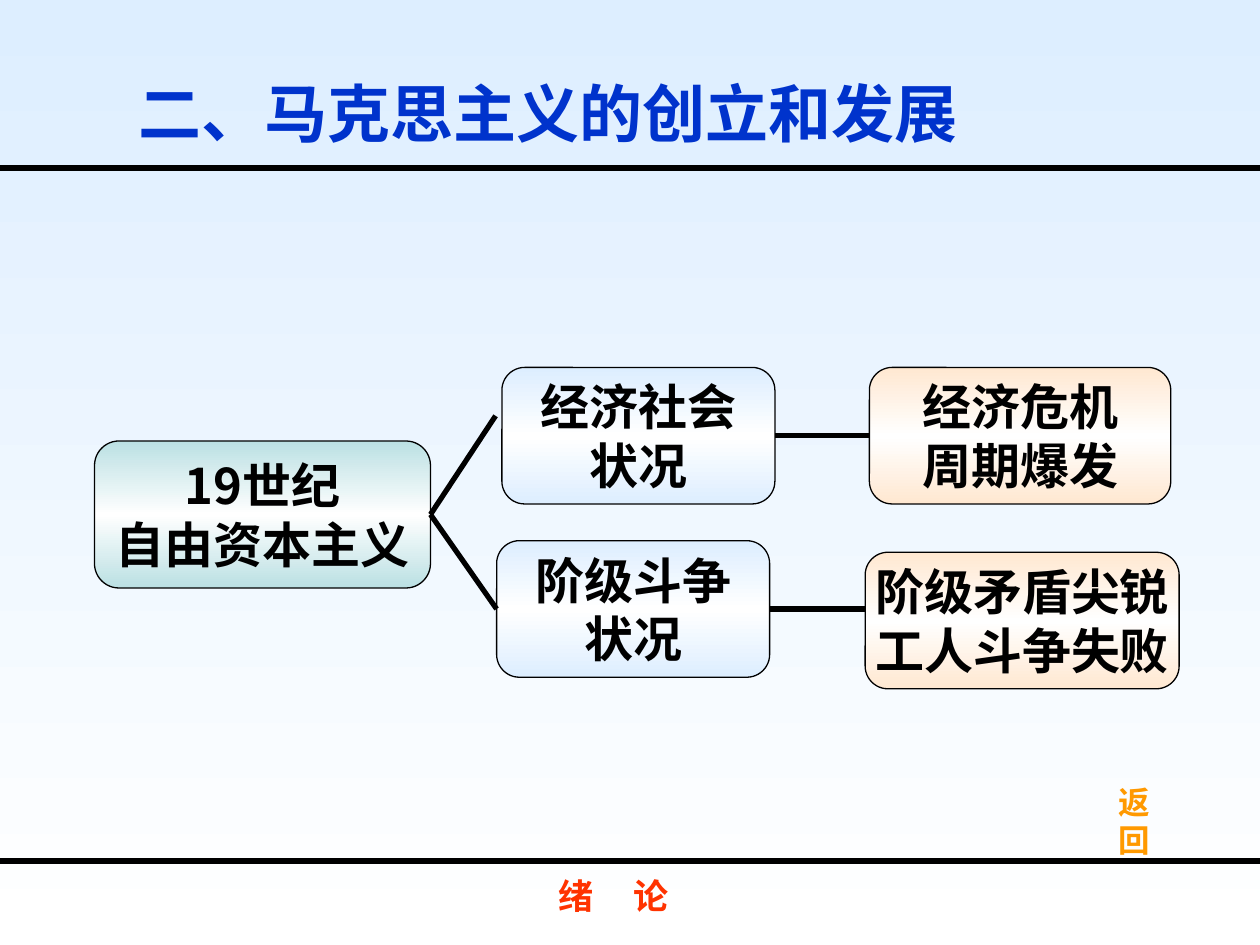
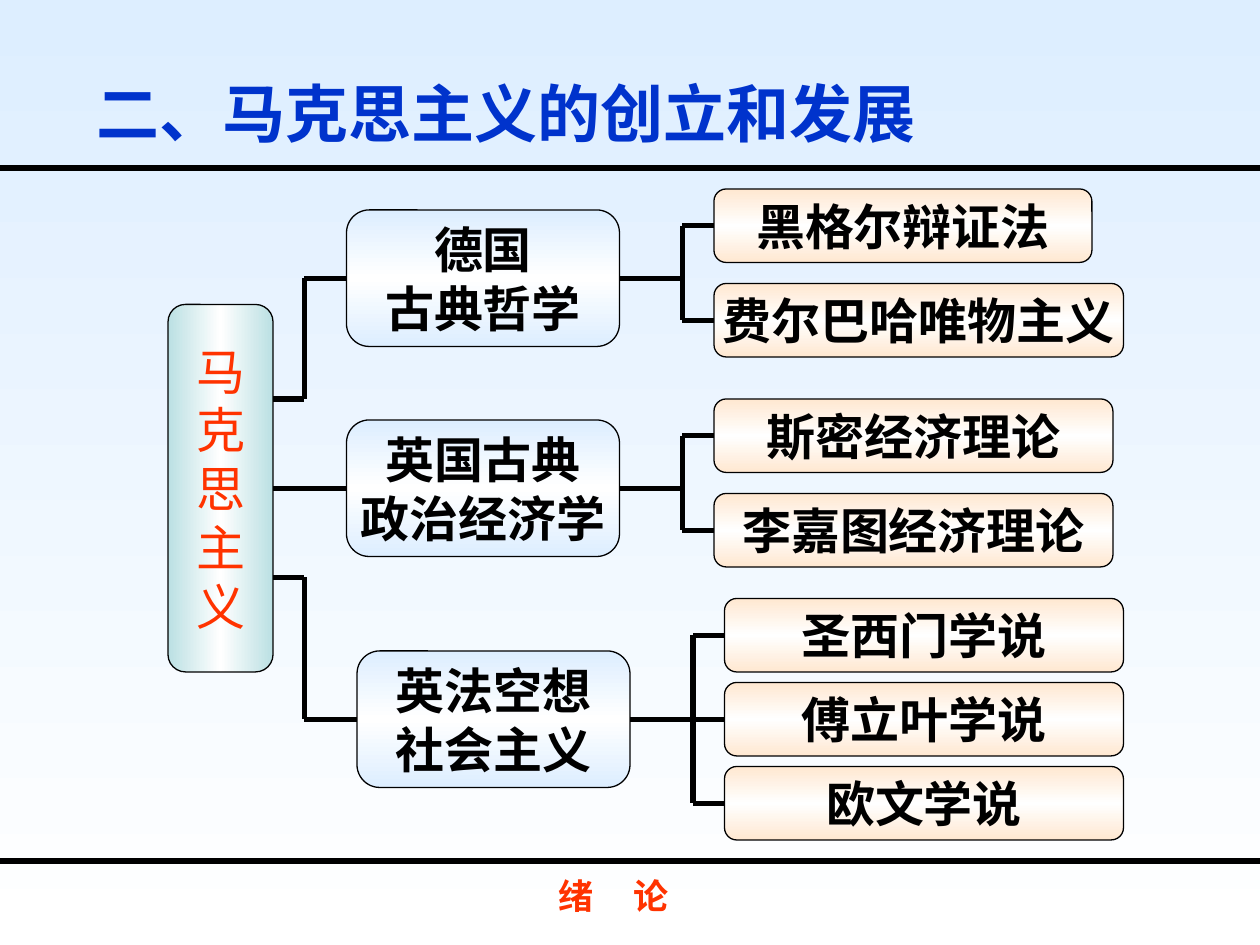
from pptx import Presentation
from pptx.dml.color import RGBColor
from pptx.enum.shapes import MSO_CONNECTOR, MSO_SHAPE
from pptx.enum.text import MSO_ANCHOR, PP_ALIGN
from pptx.oxml.ns import qn
from pptx.util import Inches, Pt
from copy import deepcopy
from lxml import etree

COLOURS = {
    "sky": "DDEEFF", "white": "FFFFFF", "teal": "BBE0E3", "peach": "FFE8D1",
    "black": "000000", "title": "0033CC", "red": "FF3300", "orange": "FF9900",
}
COLUMNS, ROWS = 120, 90
TOP, LEFT, BOTTOM, RIGHT = range(4)
CHINESE_FONT = "Noto Sans CJK SC"
HEADING = "二、马克思主义的创立和发展"


def colour(name):
    return RGBColor.from_string(COLOURS[name])


class Deck:
    """Draws on a grid of 120 columns by 90 rows."""

    def __init__(self):
        self.presentation = Presentation()
        self.presentation.slide_width = Inches(10)
        self.presentation.slide_height = Inches(7.5)
        self.slide = None

    def x(self, column):
        return round(self.presentation.slide_width * column / COLUMNS)

    def y(self, row):
        return round(self.presentation.slide_height * row / ROWS)

    def place(self, column, row, columns, rows):
        return self.x(column), self.y(row), self.x(columns), self.y(rows)

    def new_slide(self, title_column):
        self.slide = self.presentation.slides.add_slide(self.presentation.slide_layouts[6])
        self.gradient(self.slide.background.fill, "sky", "white")
        for row in (16, 82):
            self.line((0, row), (COLUMNS, row))
        self.label((title_column, 6, 92.8, 9.4), HEADING, 36, "title")
        footer = self.label((52, 82.6, 17.5, 5.3), "绪\t论", 20, "red", font=CHINESE_FONT)
        properties = footer.text_frame.paragraphs[0]._p.get_or_add_pPr()
        tabs = etree.SubElement(properties, qn("a:tabLst"))
        etree.SubElement(tabs, qn("a:tab"), pos=str(Inches(0.6)), algn="l")

    def gradient(self, fill, first, second, angle=270):
        fill.gradient()
        fill.gradient_angle = angle
        for stop, name in zip(fill.gradient_stops, (first, second)):
            stop.color.rgb = colour(name)

    def add_text(self, shape, lines, size, ink, bold, font, align, wrap):
        frame = shape.text_frame
        frame.word_wrap = wrap
        frame.vertical_anchor = MSO_ANCHOR.MIDDLE
        for index, text in enumerate(lines):
            paragraph = frame.add_paragraph() if index else frame.paragraphs[0]
            paragraph.alignment = align
            run = paragraph.add_run()
            run.text = text
            run.font.size = Pt(size)
            run.font.bold = bold
            run.font.name = font
            run.font.color.rgb = colour(ink)
            etree.SubElement(run._r.get_or_add_rPr(), qn("a:ea"), typeface=CHINESE_FONT)

    def label(self, area, text, size, ink, font="Arial", align=PP_ALIGN.LEFT, wrap=True):
        shape = self.slide.shapes.add_textbox(*self.place(*area))
        self.add_text(shape, [text], size, ink, True, font, align, wrap)
        return shape

    def box(self, area, lines, tint, ink="black", bold=True, font="Arial", angle=270):
        """Rounded box, tinted at both edges and white in the middle."""
        shape = self.slide.shapes.add_shape(MSO_SHAPE.ROUNDED_RECTANGLE, *self.place(*area))
        shape.shadow.inherit = False
        self.gradient(shape.fill, tint, "white", angle)
        stops = shape._element.spPr.find(".//" + qn("a:gsLst"))
        stops.append(deepcopy(stops[0]))
        for stop, position in zip(stops, (0, 50000, 100000)):
            stop.set("pos", str(position))
        shape.line.color.rgb = colour("black")
        shape.line.width = Pt(0.75)
        self.add_text(shape, lines, 28, ink, bold, font, PP_ALIGN.CENTER, False)
        return shape

    def line(self, start, end, begin=None, finish=None):
        """Line between grid points; begin and finish are (shape, side) joints."""
        connector = self.slide.shapes.add_connector(
            MSO_CONNECTOR.STRAIGHT, self.x(start[0]), self.y(start[1]),
            self.x(end[0]), self.y(end[1]))
        connector.line.color.rgb = colour("black")
        connector.line.width = Pt(3)
        etree.SubElement(connector._element.spPr, qn("a:effectLst"))
        if begin:
            connector.begin_connect(*begin)
        if finish:
            connector.end_connect(*finish)


def draw_background_of_the_age(deck):
    deck.new_slide(title_column=12)
    age = deck.box((9, 42, 32, 14), ["19世纪", "自由资本主义"], "teal", font=CHINESE_FONT)
    economy = deck.box((47.8, 35, 26, 13), ["经济社会", "状况"], "sky")
    struggle = deck.box((47.3, 51.5, 26, 13), ["阶级斗争", "状况"], "sky")
    crisis = deck.box((82.8, 35, 28.7, 13), ["经济危机", "周期爆发"], "peach")
    deck.box((82.4, 52.6, 29.9, 13), ["阶级矛盾尖锐", "工人斗争失败"], "peach")
    deck.line((41, 49), (47.2, 39.6), begin=(age, RIGHT))
    deck.line((41, 49), (47.3, 58), (age, RIGHT), (struggle, LEFT))
    deck.line((73.8, 41.5), (82.8, 41.5), (economy, RIGHT), (crisis, LEFT))
    deck.line((73.3, 58), (82.4, 58), begin=(struggle, RIGHT))
    deck.label((104.5, 75.2, 7, 6), "返回", 18, "orange", align=PP_ALIGN.CENTER, wrap=False)


def draw_sources_of_marxism(deck):
    deck.new_slide(title_column=8)
    trunk_right, trunk_spine = 26, 29
    trunk = deck.box((16, 29, 10, 35), list("马克思主义"), "teal", "red", bold=False, angle=0)
    # source column and row, lines, row leaving the trunk, then theories: row, columns, name
    sources = [
        (33, 20, ["德国", "古典哲学"], 38,
         [(18, 36, "黑格尔辩证法"), (27, 39, "费尔巴哈唯物主义")]),
        (33, 40, ["英国古典", "政治经济学"], None,
         [(38, 38, "斯密经济理论"), (47, 38, "李嘉图经济理论")]),
        (34, 62, ["英法空想", "社会主义"], 55,
         [(57, 38, "圣西门学说"), (65, 38, "傅立叶学说"), (73, 38, "欧文学说")]),
    ]
    for column, row, lines, exit_row, theories in sources:
        source = deck.box((column, row, 26, 13), lines, "sky")
        middle = row + 6.5
        if exit_row is None:
            deck.line((trunk_right, middle), (column, middle), (trunk, RIGHT), (source, LEFT))
        else:
            deck.line((trunk_right, exit_row), (trunk_spine, exit_row))
            deck.line((trunk_spine, exit_row), (trunk_spine, middle))
            deck.line((trunk_spine, middle), (column, middle), finish=(source, LEFT))

        spine, theory_column = column + 32, column + 35
        deck.line((column + 26, middle), (spine, middle), begin=(source, RIGHT))
        deck.line((spine, theories[0][0] + 3.5), (spine, theories[-1][0] + 3.5))
        for theory_row, columns, name in theories:
            theory = deck.box((theory_column, theory_row, columns, 7), [name], "peach")
            level = theory_row + 3.5
            deck.line((spine, level), (theory_column, level), finish=(theory, LEFT))


def main():
    deck = Deck()
    draw_background_of_the_age(deck)
    draw_sources_of_marxism(deck)
    deck.presentation.save("out.pptx")


if __name__ == "__main__":
    main()
